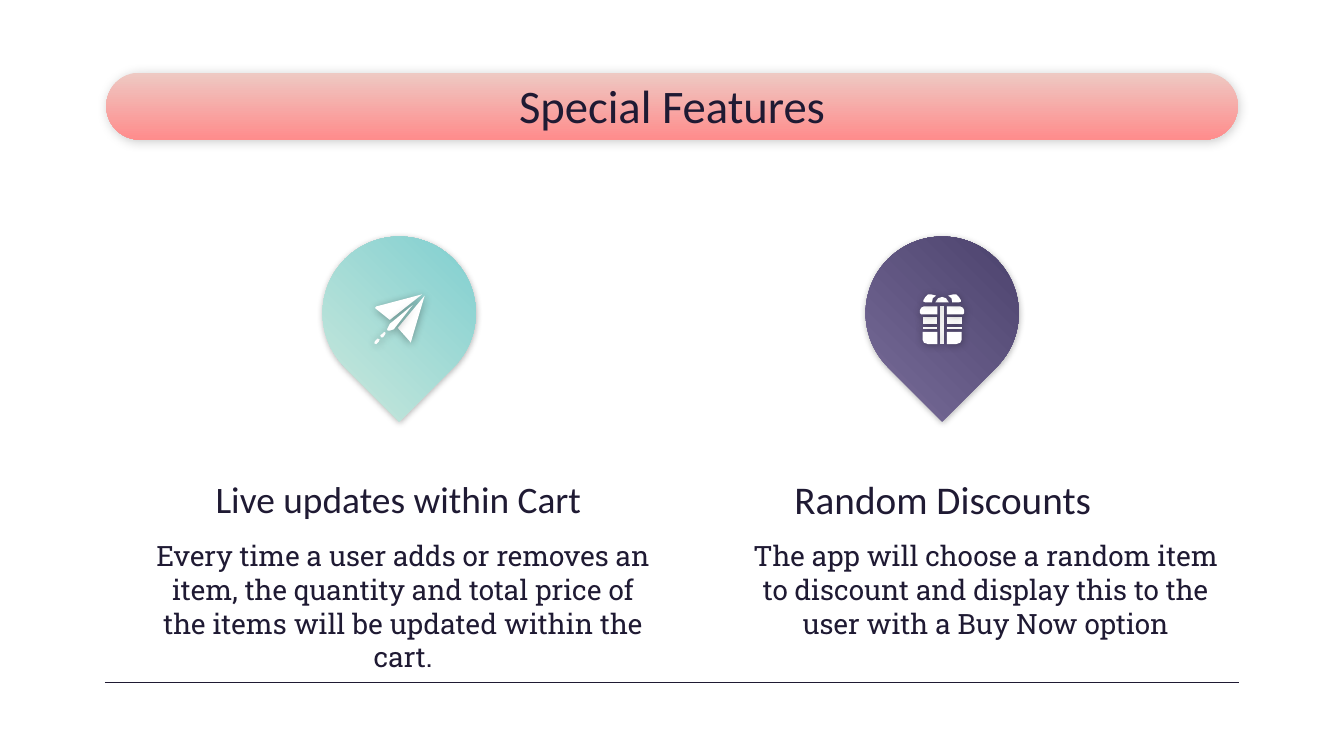
from typing import NamedTuple

from lxml.etree import SubElement as Sub
from pptx import Presentation
from pptx.dml.color import RGBColor as Rgb
from pptx.enum.shapes import MSO_CONNECTOR as Conn, MSO_SHAPE as Kind
from pptx.enum.text import MSO_ANCHOR as Anchor, MSO_AUTO_SIZE as Auto, PP_ALIGN as Align
from pptx.oxml.ns import qn
from pptx.util import Inches, Pt

HUES = {
    "ink": "1F1A33", "white": "FFFFFF", "black": "000000",
    "blush": "EEC9C3", "coral": "FF8C8C",
    "mint": "D4EBDE", "teal": "70CACD",
    "lilac": "7E719E", "plum": "423A64",
}
HEAD, BODY = "Calibri", "Roboto Slab"
PIN, TOP = 11.4, 17.6  # pin size and row
Points = list[tuple[float, float]]


class Box(NamedTuple):
    """Left, top, width and height on a grid of 100 columns."""
    x: float
    y: float
    w: float
    h: float


class Shade(NamedTuple):
    alpha: int
    blur: float


class Feature(NamedTuple):
    x: float
    hues: tuple[str, str]
    icon: list[Points]
    name: str
    size: int
    name_box: Box
    text: str
    text_box: Box


def grid(n: float) -> int:
    return Inches(n / 10)


def rgb(hue: str) -> Rgb:
    return Rgb.from_string(HUES[hue])


def rect(x: float, y: float, right: float, low: float) -> Points:
    return [(x, y), (right, y), (right, low), (x, low)]


def flip(part: Points) -> Points:
    """Mirror a part about the icon's vertical axis."""
    return [(-x, y) for x, y in part]


# Icon points are tenths of a column, from the top middle of the icon
PLANE = [
    [(-16, 33), (-18, 35), (-18.5, 36.5), (-17, 37), (-15, 35), (-14.5, 33.5)],
    [(-11, 28), (-12, 29), (-14, 30.5), (-13.5, 32), (-12, 32), (-10.5, 30), (-10, 28.7)],
    [(17, 0), (-17, 9), (-18, 10), (-17, 11), (-7, 19)],
    [(19, 1), (-1, 25), (8, 35), (8.3, 36), (9, 35)],
    [(10, 8), (-7, 22), (-9, 26), (-8.5, 27), (-7, 27), (-4, 26)],
]
HALF = [
    rect(3.5, 17, 14.5, 22),
    rect(3.5, 24, 14.5, 26),
    [(3.5, 28), (3.5, 37), (10.5, 37), (13.5, 36), (14.5, 34), (14.5, 28)],
    [(3.5, 9), (3.5, 15), (15.5, 15), (16.5, 14), (16.5, 12), (15.5, 10), (13.5, 9)],
    [(8.5, 0), (4.5, 1), (7, 3), (7.5, 6), (12.5, 6), (14, 5.5), (14, 4.5), (12.5, 2), (10.5, 0)],
]
GIFT = [
    rect(-1.3, 9, 1.3, 37),
    [(0, 2), (-3, 3), (-5, 6), (5, 6), (3, 3)],
    *HALF,
    *map(flip, HALF),
]

FEATURES = [
    Feature(24, ("mint", "teal"), PLANE,
            "Live updates within Cart", 20, Box(14.1, 34.4, 31.1, 4.9),
            "Every time a user adds or removes an item, the quantity and total "
            "price of the items will be updated within the cart.",
            Box(10.4, 39.1, 39.2, 10.5)),
    Feature(64.4, ("lilac", "plum"), GIFT,
            "Random Discounts", 21, Box(54.6, 34.4, 31.1, 4.9),
            "The app will choose a random item to discount and display this "
            "to the user with a Buy Now option",
            Box(54.6, 39.1, 37.5, 11.7)),
]


def cast(shape, shade: Shade) -> None:
    """Give a shape a soft black shadow."""
    shape.shadow.inherit = False
    glow = Sub(shape._element.spPr.find(qn("a:effectLst")), qn("a:outerShdw"),
               blurRad=str(Pt(shade.blur)), dist=str(Pt(0.8)),
               dir=str(66 * 60000), algn="bl", rotWithShape="0")
    tint = Sub(glow, qn("a:srgbClr"), val=HUES["black"])
    Sub(tint, qn("a:alpha"), val=str(shade.alpha * 1000))


def blend(slide, kind: Kind, box: Box, hues: tuple[str, str], bend: float, shade: Shade):
    """Draw a shape with a gradient that runs from top to bottom."""
    shape = slide.shapes.add_shape(kind, *map(grid, box))
    shape.adjustments[0] = bend
    shape.fill.gradient()
    shape.fill.gradient_angle = 270
    for stop, hue in zip(shape.fill.gradient_stops, hues):
        stop.color.rgb = rgb(hue)
    shape.line.fill.background()
    cast(shape, shade)
    return shape


def write(shape, text: str, size: int, font: str, anchor: Anchor = Anchor.TOP) -> None:
    frame = shape.text_frame
    frame.word_wrap = True
    frame.auto_size = Auto.NONE
    frame.vertical_anchor = anchor
    frame.margin_left = frame.margin_right = grid(1)
    frame.margin_top = frame.margin_bottom = grid(1)
    para = frame.paragraphs[0]
    para.alignment = Align.CENTER
    run = para.add_run()
    run.text = text
    run.font.size, run.font.name = Pt(size), font
    run.font.color.rgb = rgb("ink")


def note(slide, box: Box, text: str, size: int, font: str) -> None:
    write(slide.shapes.add_textbox(*map(grid, box)), text, size, font)


def draw(slide, icon: list[Points], mid: float, top: float) -> None:
    group = slide.shapes.add_group_shape()
    for part in icon:
        dots = [(grid(mid + x / 10), grid(top + y / 10)) for x, y in part]
        pen = group.shapes.build_freeform(*dots[0])
        pen.add_line_segments(dots[1:], close=True)
        shape = pen.convert_to_shape()
        shape.fill.solid()
        shape.fill.fore_color.rgb = rgb("white")
        shape.line.fill.background()
        cast(shape, Shade(32, 4.5))


def show(slide, item: Feature) -> None:
    note(slide, item.text_box, item.text, 15, BODY)
    note(slide, item.name_box, item.name, item.size, HEAD)
    pin = blend(slide, Kind.TEAR, Box(item.x, TOP, PIN, PIN), item.hues, 1, Shade(30, 3.4))
    pin.rotation = 225
    pin._element.spPr.xfrm.set("flipH", "1")
    draw(slide, item.icon, item.x + PIN / 2, TOP + 4.3)


def main() -> None:
    deck = Presentation()
    deck.slide_width, deck.slide_height = grid(100), grid(56.25)
    slide = deck.slides.add_slide(deck.slide_layouts[5])

    blend(slide, Kind.ROUNDED_RECTANGLE, Box(7.9, 5.4, 84.2, 5),
          ("blush", "coral"), 0.5, Shade(20, 5.6))
    rule = slide.shapes.add_connector(Conn.STRAIGHT, *map(grid, (7.8, 50.8, 92.2, 50.8)))
    rule.line.color.rgb = rgb("ink")
    rule.line.width = Pt(0.75)
    Sub(rule._element.spPr, qn("a:effectLst"))

    title = slide.shapes.title
    title.left, title.top, title.width, title.height = map(grid, Box(24.7, 5.3, 50.6, 5))
    write(title, "Special Features", 25, HEAD, Anchor.MIDDLE)
    slide.shapes._spTree.append(title._element)  # lift it above the bar

    for item in FEATURES:
        show(slide, item)
    deck.save("out.pptx")


if __name__ == "__main__":
    main()
